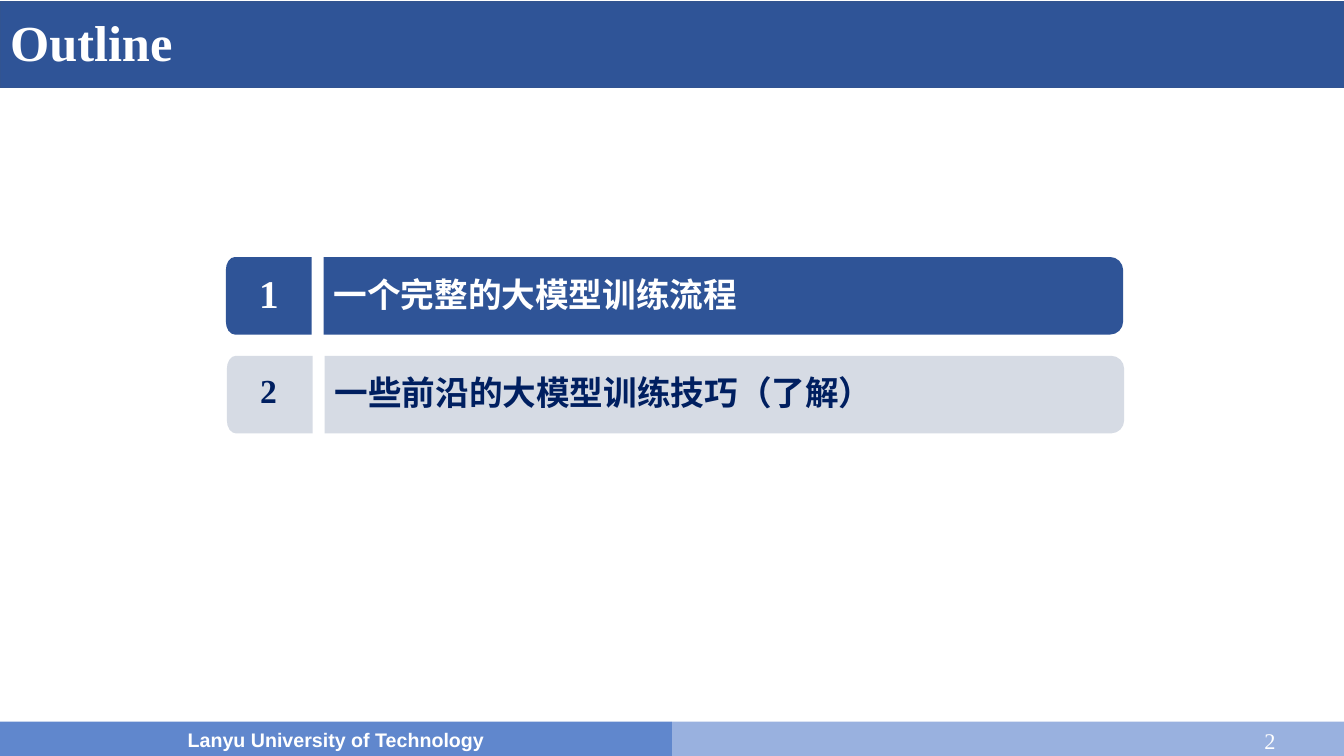
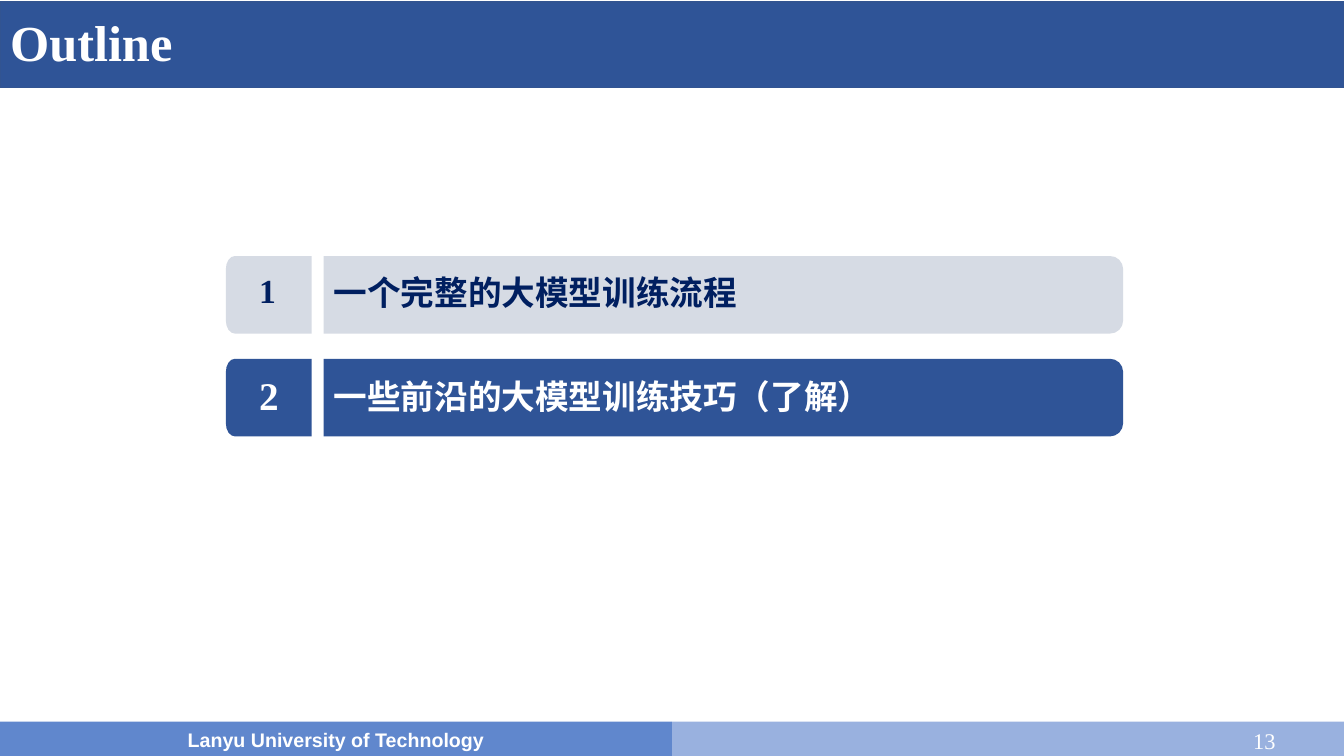
from math import cos, pi, sin

from pptx import Presentation
from pptx.dml.color import RGBColor
from pptx.enum.shapes import MSO_SHAPE
from pptx.enum.text import MSO_ANCHOR, MSO_AUTO_SIZE, PP_ALIGN
from pptx.util import Inches, Pt

# Content
TITLE = "Outline"
FOOTER = "Lanyu University of Technology"
TOPICS = ["一个完整的大模型训练流程", "一些前沿的大模型训练技巧（了解）"]
# page number, active topic, (left, top) of each row
OUTLINES = [
    ("2", 0, [(2.24, 2.55), (2.25, 3.53)]),
    ("13", 1, [(2.24, 2.54), (2.24, 3.56)]),
]

# Shared look
SERIF, SANS = "Times New Roman", "Arial"
WHITE, NAVY, BLUE = "FFFFFF", "001F60", "2F5497"
MID_BLUE, LIGHT_BLUE, GREY = "6087CD", "99B1DF", "D6DBE4"
WIDTH, HEIGHT = 13.33, 7.5
FOOTER_TOP, FOOTER_HEIGHT = 7.16, 0.35
TITLE_BOX = (0, 0.02, 12.91, 0.85)

# Row geometry and the two row states
ROW_HEIGHT, TILE_WIDTH, BAR_OFFSET, BAR_WIDTH = 0.77, 0.85, 0.97, 7.93
ACTIVE = dict(fill=BLUE, color=WHITE, number_size=28, number_box=(0.1, 0.49), label_drop=0.15)
INACTIVE = dict(fill=GREY, color=NAVY, number_size=24, number_box=(0.12, 0.42), label_drop=0.14)


def rgb(value):
    return RGBColor.from_string(value)


def inches(*lengths):
    return [Inches(length) for length in lengths]


def paint(shape, fill, line=None):
    shape.shadow.inherit = False
    shape.fill.solid()
    shape.fill.fore_color.rgb = rgb(fill)
    if line:
        shape.line.color.rgb = rgb(line)
        shape.line.width = Pt(1)
    else:
        shape.line.fill.background()


def write(shape, text, size, color, bold=True, name=SERIF, align=PP_ALIGN.LEFT):
    frame = shape.text_frame
    frame.text = text
    frame.word_wrap = True
    frame.auto_size = MSO_AUTO_SIZE.NONE
    frame.vertical_anchor = MSO_ANCHOR.MIDDLE
    paragraph = frame.paragraphs[0]
    paragraph.alignment = align
    font = paragraph.font
    font.name, font.size, font.bold = name, Pt(size), bold
    font.color.rgb = rgb(color)
    return paragraph


def add_band(slide, box, fill, line=None):
    band = slide.shapes.add_shape(MSO_SHAPE.RECTANGLE, *inches(*box))
    paint(band, fill, line)
    return band


def dress_layout(layout, slide):
    """Draw the bands on a slide, then move them behind the layout's placeholders."""
    half = WIDTH / 2
    header = add_band(slide, (0, 0.02, WIDTH, 0.85), BLUE, "325491")
    right = add_band(slide, (half, FOOTER_TOP, half, FOOTER_HEIGHT), LIGHT_BLUE)
    left = add_band(slide, (0, FOOTER_TOP, half, FOOTER_HEIGHT), MID_BLUE)
    write(left, FOOTER, 14, WHITE, name=SANS, align=PP_ALIGN.CENTER)
    for index, band in enumerate((header, right, left), start=2):
        layout.shapes.element.insert(index, band.element)
    title = layout.placeholders[0]
    title.left, title.top, title.width, title.height = inches(*TITLE_BOX)


def add_half_rounded(slide, flat, outer, top, radius_x, fill):
    """Block with a straight edge at x = flat and round corners at x = outer."""
    radius_y, bottom, steps = 0.13, top + ROW_HEIGHT, 4
    inner = outer - radius_x if outer > flat else outer + radius_x
    reach = outer - inner
    angles = [pi / 2 * step / steps for step in range(steps + 1)]
    upper = [(inner + reach * sin(a), top + radius_y * (1 - cos(a))) for a in angles]
    lower = [(x, top + bottom - y) for x, y in reversed(upper)]
    points = [inches(*point) for point in [*upper, *lower, (flat, bottom)]]
    builder = slide.shapes.build_freeform(*inches(flat, top))
    builder.add_line_segments(points, close=True)
    paint(builder.convert_to_shape(), fill)


def add_row_text(slide, box, text, size, color):
    textbox = slide.shapes.add_textbox(*inches(*box))
    paragraph = write(textbox, text, size, color)
    paragraph.space_before = Pt(1.3)
    frame = textbox.text_frame
    frame.margin_left = frame.margin_right = frame.margin_bottom = 0
    frame.margin_top = Inches(0.02)


def add_row(slide, number, topic, left, top, state):
    bar = left + BAR_OFFSET
    add_half_rounded(slide, left + TILE_WIDTH, left, top, 0.09, state["fill"])
    add_half_rounded(slide, bar, bar + BAR_WIDTH, top, 0.13, state["fill"])
    drop, height = state["number_box"]
    add_row_text(slide, (left + 0.33, top + drop, 0.2, height),
                 str(number), state["number_size"], state["color"])
    add_row_text(slide, (bar + 0.1, top + state["label_drop"], 7.83, 0.42),
                 topic, 24, state["color"])


def main():
    presentation = Presentation()
    presentation.slide_width, presentation.slide_height = inches(WIDTH, HEIGHT)
    layout = presentation.slide_layouts.get_by_name("Title Only")
    slides = [presentation.slides.add_slide(layout) for _ in OUTLINES]
    dress_layout(layout, slides[0])

    for slide, (page, active, positions) in zip(slides, OUTLINES):
        write(slide.shapes.title, TITLE, 36, WHITE).line_spacing = 0.9
        page_box = slide.shapes.add_textbox(*inches(9.75, FOOTER_TOP, 3, 0.37))
        write(page_box, page, 16, WHITE, bold=False, align=PP_ALIGN.RIGHT)
        for index, (topic, (left, top)) in enumerate(zip(TOPICS, positions)):
            state = ACTIVE if index == active else INACTIVE
            add_row(slide, index + 1, topic, left, top, state)

    presentation.save("out.pptx")


if __name__ == "__main__":
    main()
